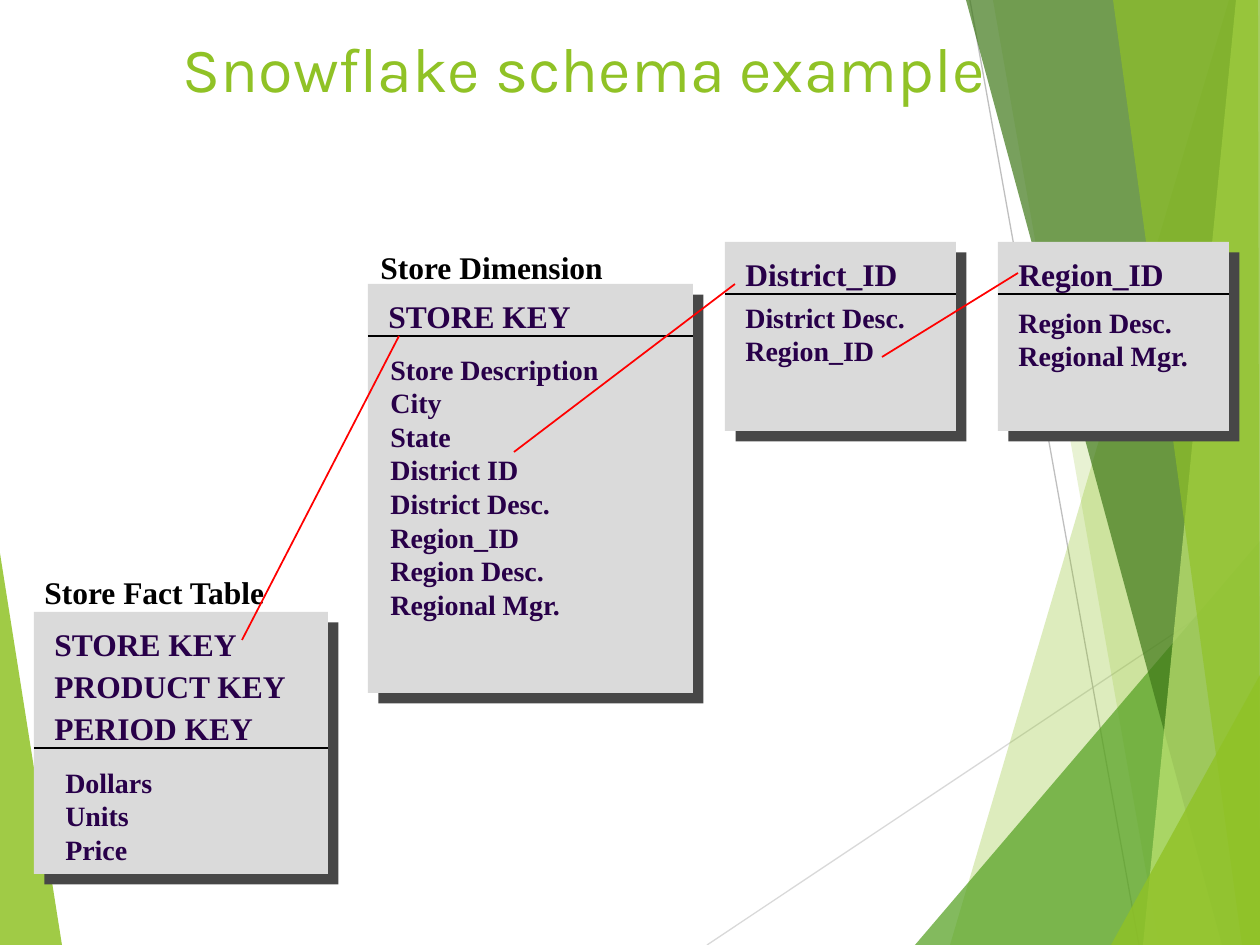
from lxml import etree
from pptx import Presentation
from pptx.dml.color import RGBColor
from pptx.enum.shapes import MSO_CONNECTOR, MSO_SHAPE
from pptx.enum.text import MSO_ANCHOR, MSO_AUTO_SIZE, PP_ALIGN
from pptx.oxml.ns import qn
from pptx.util import Emu, Pt

STRAIGHT = MSO_CONNECTOR.STRAIGHT
RECTANGLE = MSO_SHAPE.RECTANGLE
TOP = MSO_ANCHOR.TOP
FIXED = MSO_AUTO_SIZE.NONE
CENTER = PP_ALIGN.CENTER
LEFT = PP_ALIGN.LEFT

SCALE = 914400 / 126
WIDTH, HEIGHT = 1260, 945
GREEN, INK, BLACK, RED = "90C226", "280049", "000000", "FF0000"


def px(value):
    """Turn pixels into EMU."""
    return Emu(round(value * SCALE))


def color(value):
    """Turn a hex string into a colour."""
    return RGBColor.from_string(value)


class Diagram:
    """Hold the style and the current slide."""

    serif = "Times New Roman"
    panel = "DADADA"
    shade = "474747"
    key_step = 42

    def __init__(self, page):
        """Keep the slide to draw on."""
        self.page = page

    def span(self, para, text, size, font, ink, bold):
        """Add one formatted run."""
        span = para.add_run()
        span.text = text
        span.font.size = Pt(size)
        span.font.name = font
        span.font.bold = bold
        span.font.color.rgb = color(ink)

    def title(self, text, left, top, width, height):
        """Fill the title placeholder and bring it to the front."""
        box = self.page.shapes.title
        box.left, box.top, box.width, box.height = map(px, (left, top, width, height))
        frame = box.text_frame
        frame.auto_size = FIXED
        frame.vertical_anchor = TOP
        para = frame.paragraphs[0]
        para.alignment = CENTER
        self.span(para, text, 36, "Karla", GREEN, False)
        box.element.getparent().append(box.element)

    def band(self, points, fill, opacity):
        """Draw a translucent polygon."""
        builder = self.page.shapes.build_freeform(*points[0], scale=SCALE)
        builder.add_line_segments(points[1:], close=True)
        shape = builder.convert_to_shape()
        shape.shadow.inherit = False
        shape.fill.solid()
        shape.fill.fore_color.rgb = color(fill)
        shape.line.fill.background()
        tint = shape.element.spPr.find(qn("a:solidFill"))[0]
        etree.SubElement(tint, qn("a:alpha"), val=str(opacity * 1000))

    def line(self, start, end, ink, weight=1):
        """Draw a straight line."""
        line = self.page.shapes.add_connector(STRAIGHT, *map(px, start + end))
        line.line.color.rgb = color(ink)
        line.line.width = Pt(weight)
        etree.SubElement(line.element.spPr, qn("a:effectLst"))

    def text(self, lines, left, top, width, height=50, size=18, ink=INK):
        """Add a bold text box with one paragraph per line."""
        box = self.page.shapes.add_textbox(*map(px, (left, top, width, height)))
        frame = box.text_frame
        frame.word_wrap = False
        for index, words in enumerate(lines):
            para = frame.add_paragraph() if index else frame.paragraphs[0]
            para.alignment = LEFT
            self.span(para, words, size, self.serif, ink, True)

    def card(self, left, top, width, height):
        """Draw a grey panel with a hard shadow."""
        shape = self.page.shapes.add_shape(RECTANGLE, *map(px, (left, top, width, height)))
        shape.shadow.inherit = False
        shape.fill.solid()
        shape.fill.fore_color.rgb = color(self.panel)
        shape.line.fill.background()
        effects = shape.element.spPr.find(qn("a:effectLst"))
        shadow = etree.SubElement(effects, qn("a:outerShdw"), blurRad="0",
                                  dist=str(Pt(8.5)), dir="2700000", algn="ctr",
                                  rotWithShape="0")
        etree.SubElement(shadow, qn("a:srgbClr"), val=self.shade)

    def entity(self, frame, rule, keys, fields, place, label=None):
        """Draw one table: panel, rule, keys, fields and an optional label."""
        left, top, width, _ = frame
        self.card(*frame)
        self.line((left, rule), (left + width, rule), BLACK)
        for index, (key, key_width) in enumerate(keys):
            self.text([key], left + 8, top + 7 + index * self.key_step, key_width)
        self.text(fields, *place, size=16)
        if label:
            self.text([label[0]], *label[1:], ink=BLACK)


BANDS_BEHIND = [([(0, 553), (62, HEIGHT), (0, HEIGHT)], GREEN, 85)]
BANDS = [
    ([(1229, 0), (950, HEIGHT), (WIDTH, HEIGHT), (WIDTH, 0)], GREEN, 30),
    ([(993, 0), (1159, HEIGHT), (WIDTH, HEIGHT), (WIDTH, 0)], GREEN, 20),
    ([(915, HEIGHT), (WIDTH, 541), (WIDTH, HEIGHT)], "54A021", 72),
    ([(966, 0), (1222, HEIGHT), (WIDTH, HEIGHT), (WIDTH, 0)], "3F7819", 70),
    ([(1236, 0), (1143, HEIGHT), (WIDTH, HEIGHT), (WIDTH, 0)], "C0E474", 70),
    ([(1113, 0), (1242, HEIGHT), (WIDTH, HEIGHT), (1258, 0)], GREEN, 65),
    ([(1111, HEIGHT), (WIDTH, 675), (WIDTH, HEIGHT)], GREEN, 80),
]
HAIRLINES = [
    ((707, HEIGHT), (WIDTH, 576), "D9D9D9"),
    ((970, 0), (1139, HEIGHT), "BFBFBF"),
]
DISTRICT = ["District Desc.", "Region_ID"]
REGION = ["Region Desc.", "Regional Mgr."]
ENTITIES = [
    ((368, 284, 325, 409), 336, [("STORE KEY", 208)],
     ["Store Description", "City", "State", "District ID"] + DISTRICT + REGION,
     (378, 346, 234, 315), ("Store Dimension", 368, 242, 306)),
    ((725, 242, 231, 189), 294, [("District_ID", 178)], DISTRICT,
     (733, 294, 185, 113)),
    ((998, 242, 231, 189), 294, [("Region_ID", 171)], REGION,
     (1006, 299, 198, 113)),
    ((34, 612, 294, 262), 748,
     [("STORE KEY", 208), ("PRODUCT KEY", 257), ("PERIOD KEY", 224)],
     ["Dollars", "Units", "Price"], (53, 759, 112, 113),
     ("Store Fact Table", 32, 567, 249)),
]
LINKS = [
    ((399, 336), (242, 640)),
    ((735, 284), (514, 452)),
    ((1018, 273), (882, 357)),
]


def main():
    """Build the slide and save it."""
    deck = Presentation()
    deck.slide_width, deck.slide_height = px(WIDTH), px(HEIGHT)
    diagram = Diagram(deck.slides.add_slide(deck.slide_layouts[5]))
    for band in BANDS_BEHIND:
        diagram.band(*band)
    for hairline in HAIRLINES:
        diagram.line(*hairline, weight=0.75)
    for band in BANDS:
        diagram.band(*band)
    diagram.title("Snowflake schema example", 147, 23, 874, 181)
    for entity in ENTITIES:
        diagram.entity(*entity)
    for start, end in LINKS:
        diagram.line(start, end, RED)
    deck.save("out.pptx")


main()
